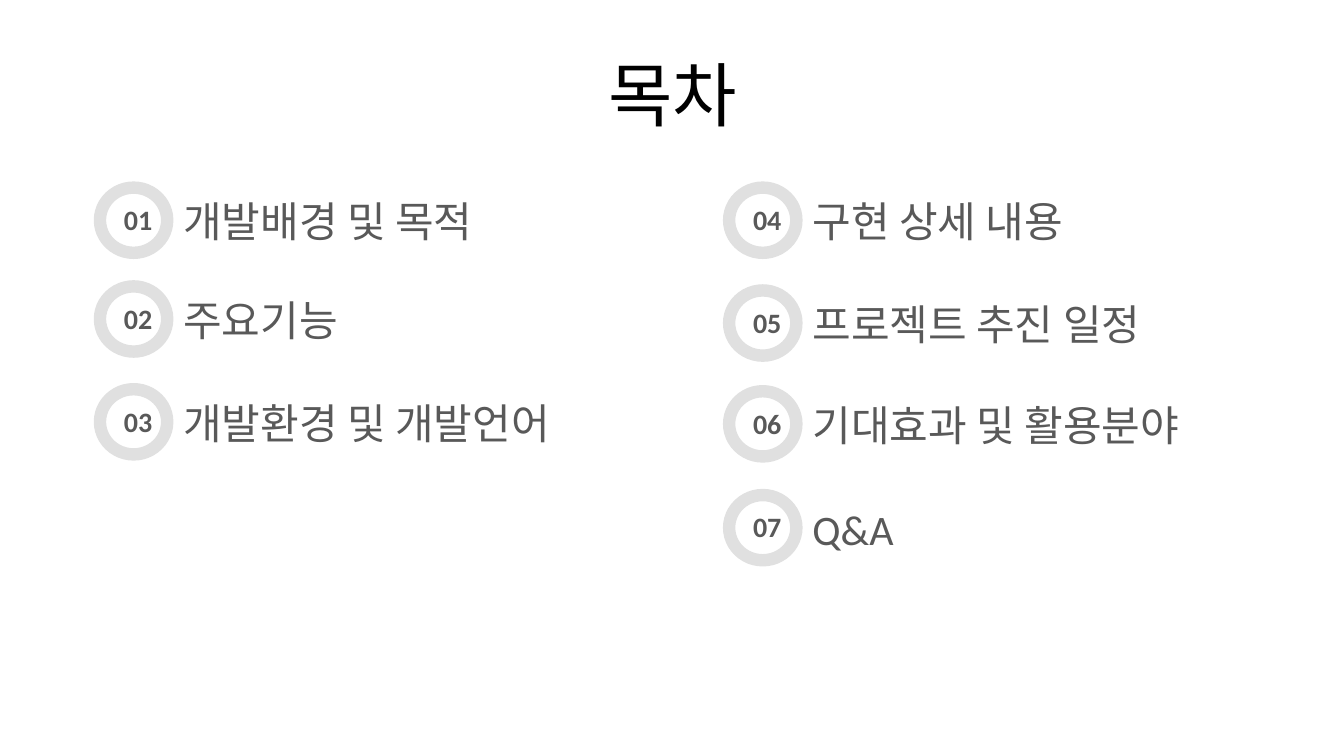
from pptx import Presentation
from pptx import util as u
from pptx.dml.color import RGBColor
from pptx.enum import shapes, text

FONT = "Calibri"
GREY = "595959"
RING = "E0E0E0"

# Each column: left edge, then (top, heading) for every entry
COLUMNS = [
    (0.93, [(1.8, "개발배경 및 목적"), (2.78, "주요기능"), (3.8, "개발환경 및 개발언어")]),
    (7.17, [(1.8, "구현 상세 내용"), (2.82, "프로젝트 추진 일정"),
            (3.82, "기대효과 및 활용분야"), (4.85, "Q&A")]),
]


def colour(value):
    return RGBColor.from_string(value)


def add_text(parent, box, words, size, shade=GREY, bold=False, frame_format=None, para_format=None):
    frame = parent.shapes.add_textbox(*map(u.Inches, box)).text_frame
    for name, value in {"word_wrap": True, **(frame_format or {})}.items():
        setattr(frame, name, value)
    para = frame.paragraphs[0]
    for name, value in (para_format or {}).items():
        setattr(para, name, value)
    span = para.add_run()
    span.text = words
    for name, value in {"name": FONT, "size": u.Pt(size), "bold": bold}.items():
        setattr(span.font, name, value)
    span.font.color.rgb = colour(shade)


def add_title(page, box, words):
    add_text(page, box, words, 50, shade="000000",
             frame_format={"vertical_anchor": text.MSO_ANCHOR.MIDDLE},
             para_format={"alignment": text.PP_ALIGN.CENTER})


def add_entry(page, left, top, number, heading):
    entry = page.shapes.add_group_shape()
    grow = {"auto_size": text.MSO_AUTO_SIZE.SHAPE_TO_FIT_TEXT}

    # Heading to the right of the ring
    add_text(entry, (left + 0.79, top + 0.39, 5.3, 0.34), heading, 30,
             frame_format={**grow, "vertical_anchor": text.MSO_ANCHOR.MIDDLE},
             para_format={"line_spacing": u.Pt(12)})

    # Number inside the ring
    add_text(entry, (left + 0.2, top + 0.16, 0.59, 0.44), f"{number:02d}", 20,
             bold=True, frame_format=grow)

    # Ring
    ring = entry.shapes.add_shape(shapes.MSO_SHAPE.DONUT,
                                  *map(u.Inches, (left, top, 0.79, 0.77)))
    ring.adjustments[0] = 0.16
    ring.shadow.inherit = False
    ring.fill.solid()
    ring.fill.fore_color.rgb = colour(RING)
    ring.line.fill.background()


def add_contents(page, columns):
    number = 0
    for left, entries in columns:
        for top, heading in entries:
            number += 1
            add_entry(page, left, top, number, heading)


def main():
    deck = Presentation()
    deck.slide_width, deck.slide_height = u.Inches(13.33), u.Inches(7.5)
    page = deck.slides.add_slide(deck.slide_layouts[6])
    add_title(page, (0.67, 0.3, 12, 1.25), "목차")
    add_contents(page, COLUMNS)
    deck.save("out.pptx")


if __name__ == "__main__":
    main()
